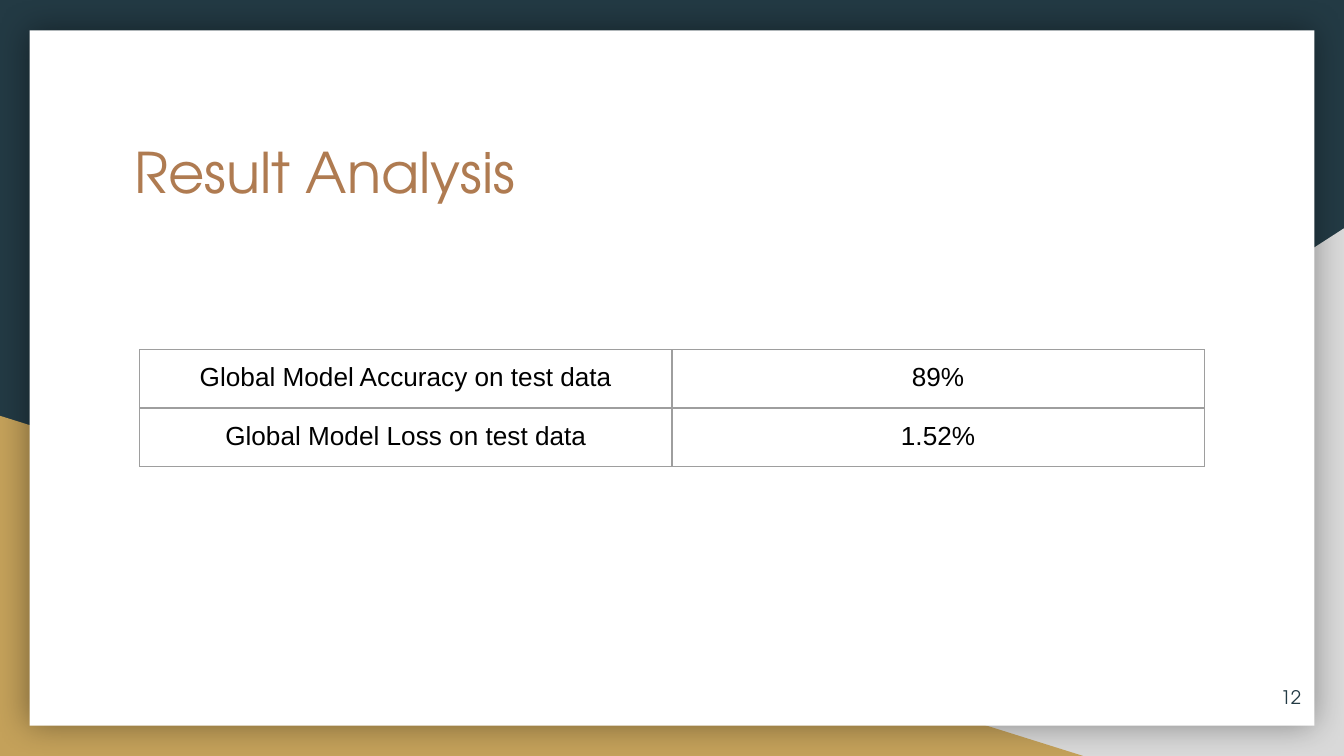
"""Build the result analysis slide with its framed panel and metrics table."""
from dataclasses import dataclass

from lxml.etree import SubElement
from pptx import Presentation
from pptx.dml.color import RGBColor
from pptx.enum.shapes import MSO_SHAPE as Preset
from pptx.enum.text import MSO_ANCHOR as Anchor, PP_ALIGN as Align
from pptx.oxml.ns import qn
from pptx.util import Inches, Pt

WIDTH = Inches(10)
HEIGHT = WIDTH * 9 // 16
INSET = Inches(0.1)
NAVY, GOLD, SILVER, WHITE = "233A44", "C4A15A", "D9D9D9", "FFFFFF"
BRONZE, BLACK, BORDER = "AF7B51", "000000", "9E9E9E"
HEADING_FONT, TABLE_FONT = "TeX Gyre Adventor", "Arial"


@dataclass(frozen=True)
class Box:
    left: float
    top: float
    width: float
    height: float

    def lengths(self) -> tuple[int, ...]:
        shares = ((self.left, WIDTH), (self.top, HEIGHT),
                  (self.width, WIDTH), (self.height, HEIGHT))
        return tuple(round(percent * side / 100) for percent, side in shares)


@dataclass(frozen=True)
class Backdrop:
    preset: Preset
    box: Box
    color: str
    flipped: bool = False
    shadowed: bool = False


@dataclass(frozen=True)
class Metric:
    label: str
    value: str


BACKDROPS = (
    Backdrop(Preset.RIGHT_TRIANGLE, Box(39.2, 30.2, 60.8, 69.8), SILVER, flipped=True),
    Backdrop(Preset.RIGHT_TRIANGLE, Box(0, 55, 80.6, 45), GOLD),
    Backdrop(Preset.RECTANGLE, Box(2.2, 4, 95.6, 92), WHITE, shadowed=True),
)
METRICS = (
    Metric("Global Model Accuracy on test data", "89%"),
    Metric("Global Model Loss on test data", "1.52%"),
)
TITLE_BOX = Box(9, 16.36, 82.1, 18.5)
TABLE_BOX = Box(10.4, 46.25, 79.2, 14.93)
NUMBER_BOX = Box(91.8, 88.4, 6, 7.6)


def paint(target, color: str) -> None:
    target.solid()
    target.fore_color.rgb = RGBColor.from_string(color)


def add_shadow(shape, color: str, alpha: int, blur: float) -> None:
    effects = shape._element.spPr.find(qn("a:effectLst"))
    shadow = SubElement(effects, qn("a:outerShdw"), blurRad=str(Pt(blur)),
                        dist="0", dir="0", algn="ctr", rotWithShape="0")
    shade = SubElement(shadow, qn("a:srgbClr"), val=color)
    SubElement(shade, qn("a:alpha"), val=str(alpha * 1000))


def add_backdrop(slide, backdrop: Backdrop) -> None:
    shape = slide.shapes.add_shape(backdrop.preset, *backdrop.box.lengths())
    shape.shadow.inherit = False
    paint(shape.fill, backdrop.color)
    shape.line.fill.background()
    if backdrop.flipped:
        shape._element.spPr.xfrm.set("flipH", "1")
    if backdrop.shadowed:
        add_shadow(shape, BLACK, alpha=40, blur=18)


def write(frame, text: str, *, size: float, font: str, color: str,
          align: Align = Align.LEFT) -> None:
    frame.word_wrap = True
    paragraph = frame.paragraphs[0]
    paragraph.alignment = align
    run = paragraph.add_run()
    run.text = text
    run.font.size = Pt(size)
    run.font.name = font
    paint(run.font.fill, color)


def set_insets(target) -> None:
    target.margin_left = target.margin_right = INSET
    target.margin_top = target.margin_bottom = INSET


def add_text(slide, box: Box, text: str, *, anchor: Anchor = Anchor.TOP, **style) -> None:
    frame = slide.shapes.add_textbox(*box.lengths()).text_frame
    set_insets(frame)
    frame.vertical_anchor = anchor
    write(frame, text, **style)


def add_borders(cell, color: str, width: float) -> None:
    properties = cell._tc.get_or_add_tcPr()
    for position, side in enumerate(("lnL", "lnR", "lnT", "lnB")):
        line = SubElement(properties, qn(f"a:{side}"), w=str(Pt(width)))
        fill = SubElement(line, qn("a:solidFill"))
        SubElement(fill, qn("a:srgbClr"), val=color)
        properties.insert(position, line)


def add_metrics(slide, metrics: tuple[Metric, ...], box: Box) -> None:
    table = slide.shapes.add_table(len(metrics), 2, *box.lengths()).table
    table.first_row = table.horz_banding = False
    for row, metric in enumerate(metrics):
        for column, text in enumerate((metric.label, metric.value)):
            cell = table.cell(row, column)
            cell.fill.background()
            set_insets(cell)
            add_borders(cell, BORDER, 0.75)
            write(cell.text_frame, text, size=14, font=TABLE_FONT,
                  color=BLACK, align=Align.CENTER)


def main() -> None:
    presentation = Presentation()
    presentation.slide_width, presentation.slide_height = WIDTH, HEIGHT
    slide = presentation.slides.add_slide(presentation.slide_layouts[6])
    paint(slide.background.fill, NAVY)
    for backdrop in BACKDROPS:
        add_backdrop(slide, backdrop)
    add_text(slide, TITLE_BOX, "Result Analysis", size=30, font=HEADING_FONT, color=BRONZE)
    add_metrics(slide, METRICS, TABLE_BOX)
    add_text(slide, NUMBER_BOX, "12", anchor=Anchor.MIDDLE, size=10,
             font=HEADING_FONT, color=NAVY, align=Align.RIGHT)
    presentation.save("out.pptx")


main()
